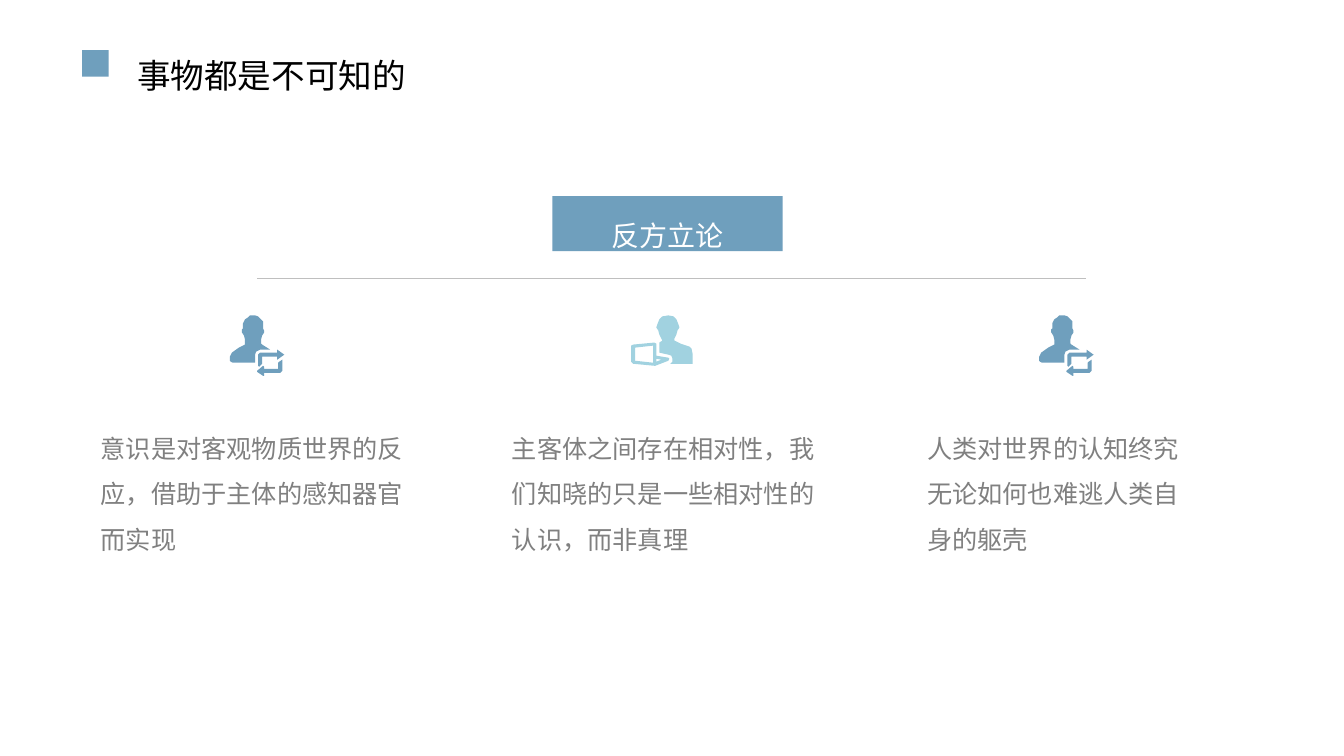
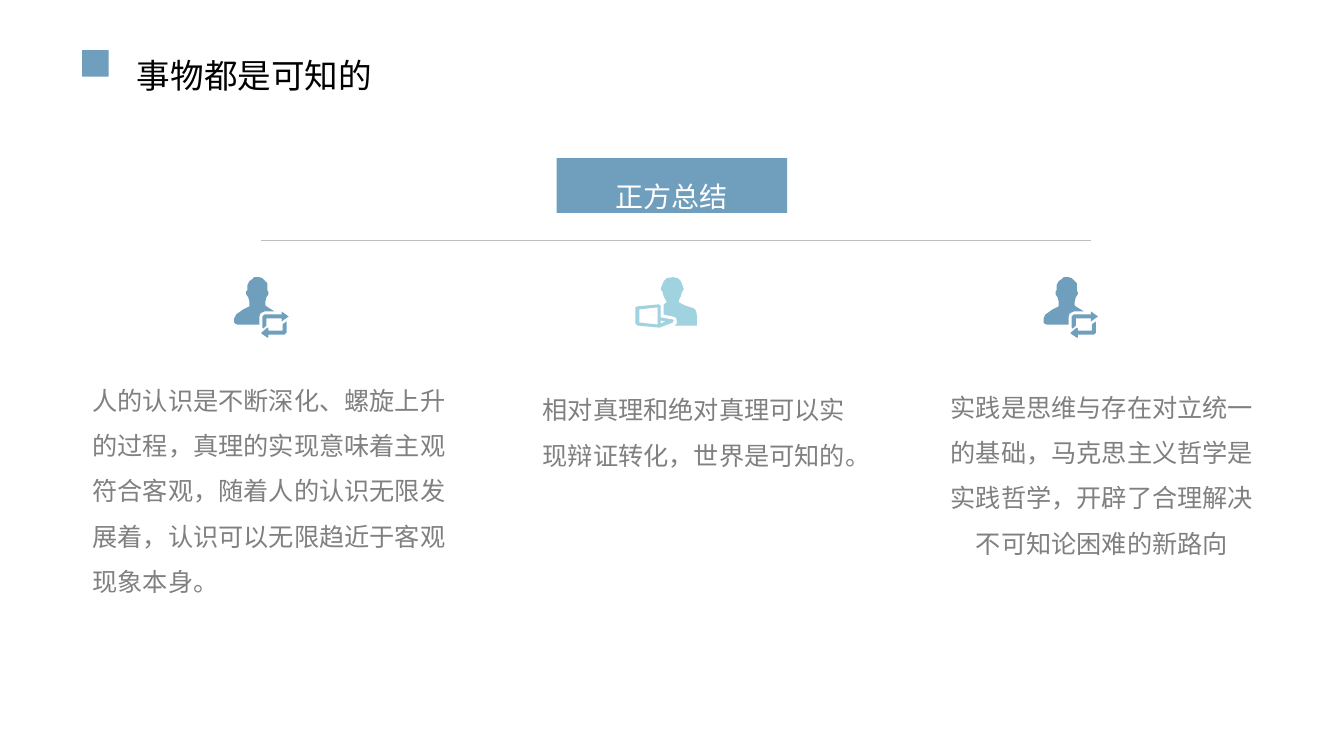
from dataclasses import dataclass

from lxml.etree import SubElement
from pptx import Presentation
from pptx.dml.color import RGBColor
from pptx.enum.shapes import MSO_CONNECTOR, MSO_SHAPE
from pptx.enum.text import MSO_ANCHOR, MSO_AUTO_SIZE, PP_ALIGN
from pptx.oxml.ns import qn
from pptx.shapes.autoshape import Shape
from pptx.slide import Slide
from pptx.util import Pt

Contour = list[tuple[int, int]]


@dataclass(frozen=True)
class Theme:
    font: str = "Noto Sans CJK SC"
    blue: RGBColor = RGBColor(0x6F, 0x9F, 0xBD)
    aqua: RGBColor = RGBColor(0xA1, 0xD2, 0xE0)
    rule: RGBColor = RGBColor(0xBF, 0xBF, 0xBF)
    black: RGBColor = RGBColor(0, 0, 0)
    white: RGBColor = RGBColor(255, 255, 255)
    grey: RGBColor = RGBColor(0x80, 0x80, 0x80)
    title_size: float = 24
    banner_size: float = 20
    body_size: float = 18
    body_spacing: float = 1.5


@dataclass(frozen=True)
class Box:
    left: float
    top: float
    width: float
    height: float

    def lengths(self) -> tuple[Pt, Pt, Pt, Pt]:
        return Pt(self.left), Pt(self.top), Pt(self.width), Pt(self.height)


@dataclass(frozen=True)
class Icon:
    offset: float  # from the left edge of the banner
    contours: list[Contour]
    color: RGBColor


@dataclass(frozen=True)
class Argument:
    text: str
    box: Box
    align: PP_ALIGN = PP_ALIGN.LEFT


@dataclass(frozen=True)
class Position:
    title: str
    title_width: float
    banner: str
    banner_left: float
    banner_top: float
    arguments: list[Argument]


THEME = Theme()

# Icon outlines, in hundredths of an inch
ICON_UNIT = 0.72
EXCHANGE: list[Contour] = [
    # lower arrow, upper arrow, person
    [(52, 44), (52, 55), (50, 57), (34, 57), (34, 60), (33, 60), (27, 56),
     (27, 55), (33, 50), (34, 51), (34, 53), (48, 53), (48, 47), (49, 46)],
    [(47, 34), (54, 39), (47, 44), (47, 41), (32, 41), (32, 48), (29, 51),
     (28, 50), (28, 39), (30, 37), (47, 37)],
    [(22, 0), (25, 0), (28, 1), (30, 3), (33, 6), (33, 13), (34, 15), (34, 17),
     (32, 20), (31, 24), (31, 28), (32, 29), (40, 34), (30, 34), (26, 36),
     (25, 39), (25, 47), (3, 47), (1, 46), (0, 45), (0, 41), (2, 37), (9, 32),
     (15, 29), (15, 24), (14, 20), (12, 17), (12, 14), (13, 13), (13, 8),
     (15, 4), (18, 2), (20, 0)],
]
PRESENTER: list[Contour] = [
    # hand gap, screen, laptop, person
    [(25, 43), (25, 46), (30, 44)],
    [(22, 30), (4, 32), (4, 45), (22, 47)],
    [(23, 27), (25, 28), (25, 40), (37, 42), (38, 43), (37, 45), (24, 50),
     (23, 50), (2, 48), (0, 46), (0, 30), (2, 29)],
    [(37, 0), (42, 1), (45, 4), (47, 9), (48, 12), (46, 15), (45, 19), (43, 23),
     (43, 25), (49, 28), (58, 31), (60, 33), (61, 38), (61, 48), (39, 48),
     (41, 46), (41, 43), (40, 40), (37, 39), (28, 37), (28, 27), (31, 25),
     (30, 23), (28, 19), (27, 15), (25, 12), (26, 9), (28, 4), (31, 1)],
]
ICONS = [
    Icon(-230.3, EXCHANGE, THEME.blue),
    Icon(56.3, PRESENTER, THEME.aqua),
    Icon(347.8, EXCHANGE, THEME.blue),
]

POSITIONS = [
    Position("事物都是不可知的", 254, "反方立论", 394.5, 140.2, [
        Argument("意识是对客观物质世界的反应，借助于主体的感知器官而实现",
                 Box(64.8, 295.2, 238.3, 101.5)),
        Argument("主客体之间存在相对性，我们知晓的只是一些相对性的认识，而非真理",
                 Box(358.6, 295.2, 243.4, 101.5)),
        Argument("人类对世界的认知终究无论如何也难逃人类自身的躯壳",
                 Box(655.2, 295.2, 205.9, 101.5)),
    ]),
    Position("事物都是可知的", 185, "正方总结", 397.6, 112.9, [
        Argument("人的认识是不断深化、螺旋上升的过程，真理的实现意味着主观符合客观，"
                 "随着人的认识无限发展着，认识可以无限趋近于客观现象本身。",
                 Box(59, 260.6, 281.5, 167)),
        Argument("相对真理和绝对真理可以实现辩证转化，世界是可知的。",
                 Box(380.5, 267.5, 243.4, 69.1)),
        Argument("实践是思维与存在对立统一的基础，马克思主义哲学是实践哲学，"
                 "开辟了合理解决不可知论困难的新路向",
                 Box(665.3, 265.7, 243.4, 134.6), PP_ALIGN.CENTER),
    ]),
]


def write(shape: Shape, text: str, size: float, color: RGBColor,
          spacing: float = 1, align: PP_ALIGN = PP_ALIGN.LEFT) -> None:
    frame = shape.text_frame
    frame.word_wrap = True
    frame.auto_size = MSO_AUTO_SIZE.NONE
    frame.vertical_anchor = MSO_ANCHOR.TOP
    paragraph = frame.paragraphs[0]
    paragraph.text = text
    paragraph.alignment = align
    paragraph.line_spacing = spacing
    font = paragraph.font
    font.size = Pt(size)
    font.color.rgb = color
    font.name = THEME.font
    # East Asian typeface
    defaults = paragraph._p.pPr.find(qn("a:defRPr"))
    SubElement(defaults, qn("a:ea")).set("typeface", THEME.font)


def paint(shape: Shape, color: RGBColor) -> None:
    shape.shadow.inherit = False
    shape.fill.solid()
    shape.fill.fore_color.rgb = color
    shape.line.fill.background()


def add_block(slide: Slide, box: Box) -> Shape:
    block = slide.shapes.add_shape(MSO_SHAPE.RECTANGLE, *box.lengths())
    paint(block, THEME.blue)
    return block


def add_rule(slide: Slide, left: float, top: float, width: float) -> None:
    rule = slide.shapes.add_connector(
        MSO_CONNECTOR.STRAIGHT, Pt(left), Pt(top), Pt(left + width), Pt(top))
    rule.line.color.rgb = THEME.rule
    rule.line.width = Pt(0.25)
    SubElement(rule._element.spPr, qn("a:effectLst"))


def add_icon(slide: Slide, icon: Icon, left: float, top: float) -> None:
    first, *others = icon.contours
    outline = slide.shapes.build_freeform(*first[0], scale=Pt(ICON_UNIT))
    outline.add_line_segments(first[1:])
    for contour in others:
        outline.move_to(*contour[0])
        outline.add_line_segments(contour[1:])
    paint(outline.convert_to_shape(Pt(left), Pt(top)), icon.color)


def add_title(slide: Slide, title: str, width: float) -> None:
    add_block(slide, Box(58.7, 35.8, 18.9, 18.9))
    heading = slide.shapes.add_textbox(*Box(90.8, 36, width, 36.3).lengths())
    write(heading, title, THEME.title_size, THEME.black)


def add_position(slide: Slide, position: Position) -> None:
    left, top = position.banner_left, position.banner_top
    add_title(slide, position.title, position.title_width)

    # Banner, rule and icons move together
    banner = add_block(slide, Box(left, top, 164.6, 39.3))
    write(banner, position.banner, THEME.banner_size, THEME.white,
          THEME.body_spacing, PP_ALIGN.CENTER)
    add_rule(slide, left - 210.9, top + 58.5, 592.4)
    for icon in ICONS:
        add_icon(slide, icon, left + icon.offset, top + 85.1)

    # Arguments
    for argument in position.arguments:
        body = slide.shapes.add_textbox(*argument.box.lengths())
        write(body, argument.text, THEME.body_size, THEME.grey,
              THEME.body_spacing, argument.align)


def main() -> None:
    deck = Presentation()
    deck.slide_width, deck.slide_height = Pt(960), Pt(540)
    blank = deck.slide_layouts[6]
    for position in POSITIONS:
        add_position(deck.slides.add_slide(blank), position)
    deck.save("out.pptx")


main()
